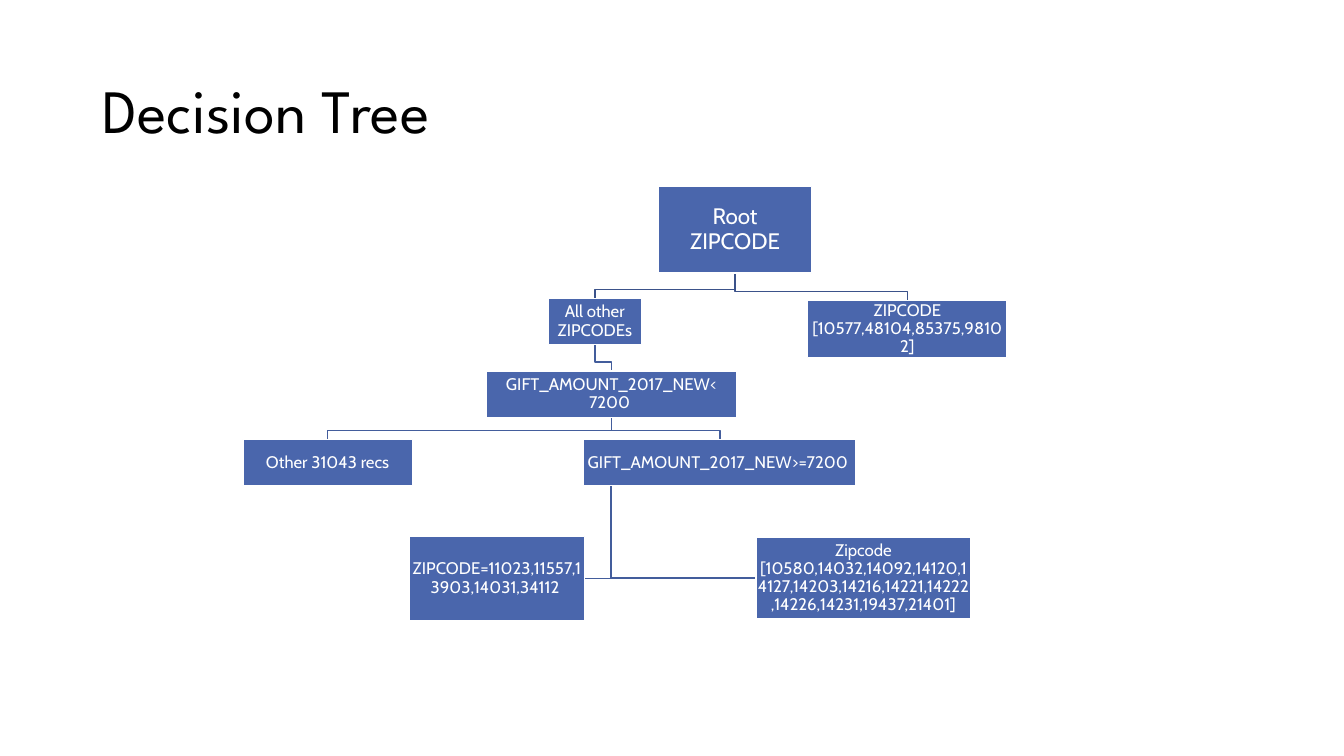
from dataclasses import dataclass

from pptx import Presentation
from pptx.dml.color import RGBColor
from pptx.enum.shapes import MSO_SHAPE
from pptx.enum.text import MSO_ANCHOR, PP_ALIGN
from pptx.shapes.group import GroupShape
from pptx.util import Inches, Pt

WHITE = "FFFFFF"
NODE_FILL = "4A66AC"
ROOT_LINK = "3B528A"
LOWER_LINK = "435D9C"
ELBOW_RISE = 0.09  # height of an elbow above the child box
TRUNK_X = 6.06  # shared vertical line above the two bottom leaves


@dataclass(frozen=True)
class Node:
    text: str
    left: float
    top: float
    width: float
    height: float
    size: int = 12

    @property
    def center(self) -> float:
        return self.left + self.width / 2

    @property
    def middle(self) -> float:
        return self.top + self.height / 2

    @property
    def bottom(self) -> float:
        return self.top + self.height


def color(value: str) -> RGBColor:
    return RGBColor.from_string(value)


def draw_link(group: GroupShape, points: list[tuple[float, float]], line: str) -> None:
    start, *rest = [(Inches(x), Inches(y)) for x, y in points]
    builder = group.shapes.build_freeform(*start)
    builder.add_line_segments(rest, close=False)
    link = builder.convert_to_shape()
    link.shadow.inherit = False
    link.fill.background()
    link.line.color.rgb = color(line)
    link.line.width = Pt(1)


def draw_elbow(group: GroupShape, parent: Node, child: Node, line: str) -> None:
    bend = child.top - ELBOW_RISE
    draw_link(group, [(parent.center, parent.bottom), (parent.center, bend),
                      (child.center, bend), (child.center, child.top)], line)


def draw_side_link(group: GroupShape, parent: Node, child: Node) -> None:
    edge = child.left if child.left > TRUNK_X else child.left + child.width
    draw_link(group, [(TRUNK_X, parent.bottom), (TRUNK_X, child.middle),
                      (edge, child.middle)], LOWER_LINK)


def draw_node(group: GroupShape, node: Node) -> None:
    box = group.shapes.add_shape(MSO_SHAPE.RECTANGLE, Inches(node.left), Inches(node.top),
                                 Inches(node.width), Inches(node.height))
    box.shadow.inherit = False
    box.fill.solid()
    box.fill.fore_color.rgb = color(NODE_FILL)
    box.line.color.rgb = color(WHITE)
    box.line.width = Pt(1)
    frame = box.text_frame
    frame.word_wrap = True
    frame.vertical_anchor = MSO_ANCHOR.MIDDLE
    frame.margin_left = frame.margin_right = Inches(0.01)
    frame.margin_top = frame.margin_bottom = Inches(0.01)
    para = frame.paragraphs[0]
    para.alignment = PP_ALIGN.CENTER
    para.line_spacing = 0.9
    for index, line in enumerate(node.text.split("\n")):
        if index:
            para.add_line_break()
        span = para.add_run()
        span.text = line
        span.font.name = "Cabin"
        span.font.size = Pt(node.size)
        span.font.color.rgb = color(WHITE)


def main() -> None:
    deck = Presentation()
    deck.slide_width, deck.slide_height = Inches(13.33), Inches(7.5)
    page = deck.slides.add_slide(deck.slide_layouts[5])

    # Title
    title = page.shapes.title
    title.left, title.top = Inches(0.92), Inches(0.4)
    title.width, title.height = Inches(11.5), Inches(1.45)
    title.text_frame.vertical_anchor = MSO_ANCHOR.MIDDLE
    para = title.text_frame.paragraphs[0]
    para.alignment = PP_ALIGN.LEFT
    para.line_spacing = 0.9
    span = para.add_run()
    span.text = "Decision Tree"
    span.font.name = "League Spartan"
    span.font.size = Pt(44)
    span.font.color.rgb = color("000000")

    # Nodes of the tree
    root = Node("Root\nZIPCODE", 6.53, 1.85, 1.52, 0.86, 16)
    others = Node("All other ZIPCODEs", 5.44, 2.96, 0.92, 0.46)
    listed = Node("ZIPCODE [10577,48104,85375,98102]", 8.01, 2.98, 1.98, 0.57)
    small_gift = Node("GIFT_AMOUNT_2017_NEW< 7200 ", 4.82, 3.68, 2.49, 0.46)
    records = Node("Other 31043 recs", 2.41, 4.36, 1.68, 0.46)
    large_gift = Node("GIFT_AMOUNT_2017_NEW>=7200 ", 5.79, 4.36, 2.7, 0.46)
    left_leaf = Node("ZIPCODE=11023,11557,13903,14031,34112 ", 4.06, 5.32, 1.74, 0.84)
    right_leaf = Node("Zipcode [10580,14032,14092,14120,14127,14203,14216,14221,"
                      "14222,14226,14231,19437,21401]", 7.5, 5.33, 2.13, 0.81)

    # Links first, so that the boxes lie on top
    tree = page.shapes.add_group_shape()
    for child in (listed, others):
        draw_elbow(tree, root, child, ROOT_LINK)
    draw_elbow(tree, others, small_gift, LOWER_LINK)
    for child in (large_gift, records):
        draw_elbow(tree, small_gift, child, LOWER_LINK)
    for child in (left_leaf, right_leaf):
        draw_side_link(tree, large_gift, child)

    # Boxes
    for node in (root, others, small_gift, records, large_gift,
                 right_leaf, left_leaf, listed):
        draw_node(tree, node)

    deck.save("out.pptx")


if __name__ == "__main__":
    main()
